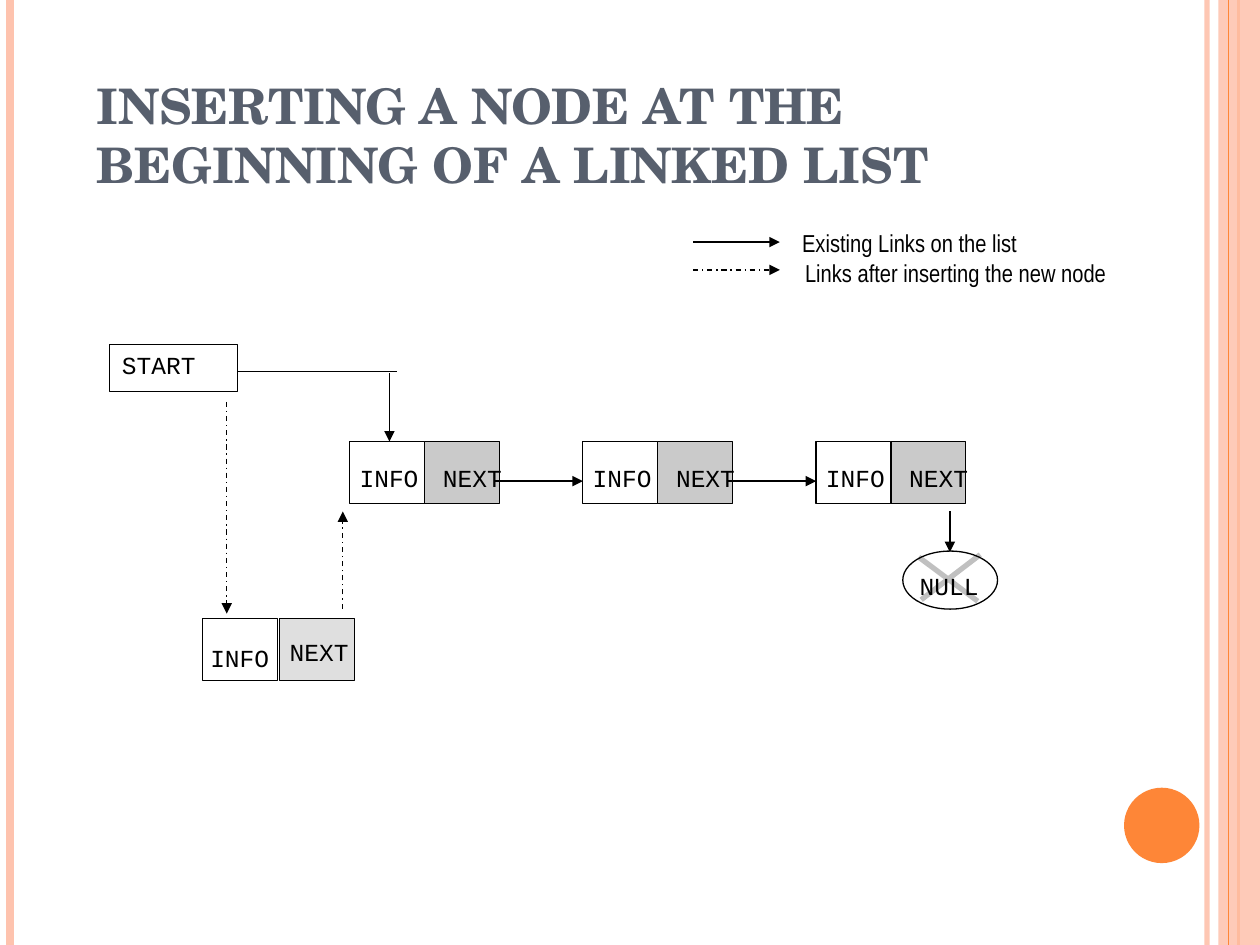
from dataclasses import dataclass

from lxml import etree
from pptx import Presentation
from pptx.dml.color import RGBColor
from pptx.enum.dml import MSO_LINE
from pptx.enum.shapes import MSO_CONNECTOR, MSO_SHAPE
from pptx.enum.text import MSO_ANCHOR
from pptx.oxml.ns import qn
from pptx.util import Cm, Pt

RECT, OVAL = MSO_SHAPE.RECTANGLE, MSO_SHAPE.OVAL
STRAIGHT = MSO_CONNECTOR.STRAIGHT
DASH_DOT = MSO_LINE.DASH_DOT
TOP, BOTTOM = MSO_ANCHOR.TOP, MSO_ANCHOR.BOTTOM


@dataclass(frozen=True)
class Theme:
    ink: str = "000000"
    paper: str = "FFFFFF"
    title: str = "575F6D"
    accent: str = "FE8637"
    peach: str = "FEC3AE"
    next_fill: str = "969696"
    new_fill: str = "C0C0C0"
    title_font: str = "TeX Gyre Schola"
    code_font: str = "Courier New"
    label_font: str = "Arial Narrow"
    title_size: float = 28
    text_size: float = 14
    thin: float = 0.75
    thick: float = 3


THEME = Theme()
WIDTH, HEIGHT = 25.4, 19.05

TITLE = "INSERTING A NODE AT THE BEGINNING OF A LINKED LIST"
LEGEND = [
    ("Existing Links on the list", 15.92, 4.47, 5.2, 4.88, None),
    ("Links after inserting the new node", 15.98, 5.08, 6.9, 5.44, DASH_DOT),
]
STRIPES_BEHIND = [
    (24.33, THEME.peach, 3, 93),
    (0.21, THEME.peach, 4.5, 100),
    (24.97, THEME.accent, 1.5, 100),
]

CELL_WIDTH, CELL_HEIGHT = 1.51, 1.25
FIRST_LEFT, LIST_TOP, PITCH, NODE_COUNT = 7.05, 8.9, 4.7, 3
LINK_START, LINK_Y = 2.92, 9.7
NODE_LEFTS = [FIRST_LEFT + PITCH * index for index in range(NODE_COUNT)]
LIST_STYLE = dict(next_left=CELL_WIDTH, fill=THEME.next_fill,
                  info_text=(-0.05, 0.3), next_text=(1.63, 0.3))
NEW_STYLE = dict(next_left=1.55, fill=THEME.new_fill,
                 info_text=(-0.1, 0.36), next_text=(1.5, 0.25))

ARROWS = [
    ((7.85, 7.52), (7.85, LIST_TOP), None),
    ((4.57, 8.1), (4.57, 12.37), DASH_DOT),
    ((6.91, 12.27), (6.91, 10.31), DASH_DOT),
    ((19.15, 10.31), (19.15, 11.13), None),
] + [
    ((left + LINK_START, LINK_Y), (left + PITCH, LINK_Y), None)
    for left in NODE_LEFTS[:-1]
]
NULL_CROSS = [((18.57, 12.09), (19.76, 11.18)), ((19.71, 12.12), (18.52, 11.23))]


def set_alpha(fill, percent):
    if percent < 100:
        color = fill._xPr.find(".//" + qn("a:srgbClr"))
        etree.SubElement(color, qn("a:alpha"), val=str(percent * 1000))


def add_line(page, start, end, color=THEME.ink, width=THEME.thin,
             dash=None, arrow=False, alpha=100):
    line = page.shapes.add_connector(STRAIGHT, *map(Cm, start + end))
    line.line.color.rgb = RGBColor.from_string(color)
    line.line.width = Pt(width)
    set_alpha(line.line.fill, alpha)
    if dash is not None:
        line.line.dash_style = dash
    properties = line._element.spPr
    if arrow:
        etree.SubElement(properties.find(qn("a:ln")), qn("a:tailEnd"), type="triangle")
    etree.SubElement(properties, qn("a:effectLst"))


def add_box(page, kind, bounds, fill=None, alpha=100, outlined=True):
    box = page.shapes.add_shape(kind, *map(Cm, bounds))
    box.shadow.inherit = False
    if fill is None:
        box.fill.background()
    else:
        box.fill.solid()
        box.fill.fore_color.rgb = RGBColor.from_string(fill)
        set_alpha(box.fill, alpha)
    if outlined:
        box.line.color.rgb = RGBColor.from_string(THEME.ink)
        box.line.width = Pt(THEME.thin)
    else:
        box.line.fill.background()


def add_text(page, text, bounds, font=THEME.code_font, size=THEME.text_size,
             color=THEME.ink, bold=False, anchor=TOP):
    frame = page.shapes.add_textbox(*map(Cm, bounds)).text_frame
    frame.word_wrap = True
    frame.vertical_anchor = anchor
    para = frame.paragraphs[0]
    span = para.add_run()
    span.text = text
    span.font.name = font
    span.font.size = Pt(size)
    span.font.bold = bold
    span.font.color.rgb = RGBColor.from_string(color)


def add_node(page, left, top, next_left, fill, info_text, next_text):
    add_box(page, RECT, (left + next_left, top, CELL_WIDTH, CELL_HEIGHT), fill, 50)
    add_box(page, RECT, (left, top, CELL_WIDTH, CELL_HEIGHT), THEME.paper)
    for word, (shift, drop) in (("INFO", info_text), ("NEXT", next_text)):
        add_text(page, word, (left + shift, top + drop, 2.01, 0.99))


def add_frame(page):
    for x, color, width, alpha in STRIPES_BEHIND:
        add_line(page, (x, 0), (x, HEIGHT), color, width, alpha=alpha)
    add_box(page, RECT, (24.56, 0, 0.84, HEIGHT), THEME.peach, 87, outlined=False)
    add_line(page, (24.77, 0), (24.77, HEIGHT), THEME.accent)
    add_box(page, OVAL, (22.66, 15.88, 1.52, 1.52), THEME.accent, outlined=False)


def add_null(page):
    for start, end in NULL_CROSS:
        add_line(page, start, end, THEME.new_fill, THEME.thick)
    add_box(page, OVAL, (18.2, 11.11, 1.91, 1.17))
    add_text(page, "NULL", (18.29, 11.38, 2.03, 0.61))


def main():
    deck = Presentation()
    deck.slide_width, deck.slide_height = Cm(WIDTH), Cm(HEIGHT)
    page = deck.slides.add_slide(deck.slide_layouts[6])

    add_frame(page)
    add_text(page, TITLE, (1.7, 0.84, 20.75, 3.18), THEME.title_font,
             THEME.title_size, THEME.title, bold=True, anchor=BOTTOM)

    for text, left, top, width, line_y, dash in LEGEND:
        add_text(page, text, (left, top, width, 0.86), THEME.label_font)
        add_line(page, (13.97, line_y), (15.72, line_y), dash=dash, arrow=True)

    for left in NODE_LEFTS:
        add_node(page, left, LIST_TOP, **LIST_STYLE)
    add_node(page, 4.09, 12.47, **NEW_STYLE)

    start_bounds = (2.21, 6.94, 2.58, 0.96)
    add_box(page, RECT, start_bounds, THEME.paper, 50)
    add_text(page, "START", start_bounds)
    add_line(page, (4.79, 7.49), (8, 7.49))
    for start, end, dash in ARROWS:
        add_line(page, start, end, dash=dash, arrow=True)
    add_null(page)

    deck.save("out.pptx")


if __name__ == "__main__":
    main()
